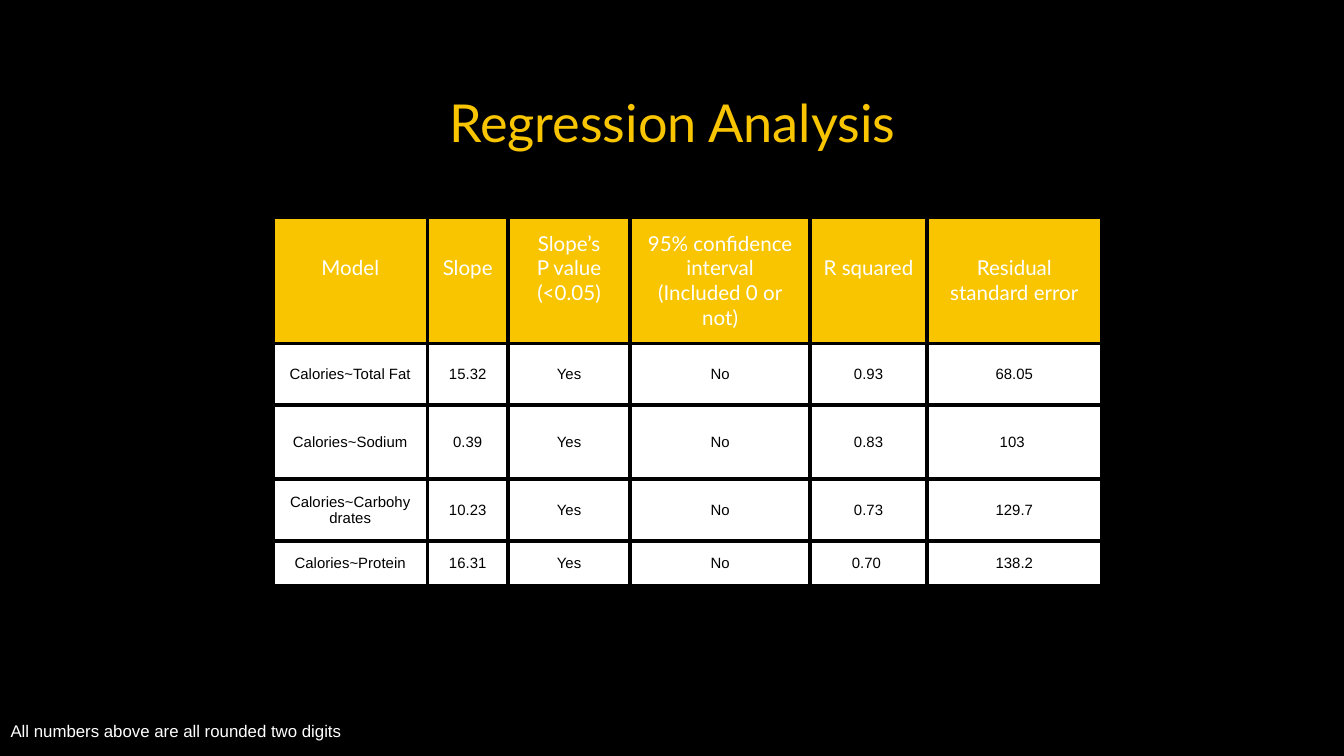
from collections import namedtuple
from dataclasses import dataclass

from lxml import etree
from pptx import Presentation
from pptx import util as u
from pptx.dml.color import RGBColor
from pptx.enum import text
from pptx.oxml import ns

Box = namedtuple("Box", "left top width height")


@dataclass(frozen=True)
class Theme:
    """Colours, fonts and sizes of the slide."""
    black: str = "000000"
    white: str = "FFFFFF"
    gold: str = "F8C500"
    heading_font: str = "Lato"
    body_font: str = "Arial"
    title_size: float = 28
    header_size: float = 11
    body_size: float = 8
    note_size: float = 9
    border_width: float = 2.25


THEME = Theme()
INSET = 0.25
HEADER_LINE = 0.47

COLUMN_WIDTHS = [2.92, 1.52, 2.31, 3.4, 2.21, 3.3]
ROW_HEIGHTS = [2.34, 1.17, 1.4, 1.17, 0.84]
HEADERS = [
    ["Model"],
    ["Slope"],
    ["Slope’s", "P value", "(<0.05)"],
    ["95% confidence interval", "(Included 0 or not)"],
    ["R squared"],
    ["Residual standard error"],
]
MODELS = [
    ["Calories~Total Fat", "15.32", "Yes", "No", "0.93", "68.05"],
    ["Calories~Sodium", "0.39", "Yes", "No", "0.83", "103 "],
    ["Calories~Carbohydrates", "10.23", "Yes", "No", "0.73", "129.7"],
    ["Calories~Protein", "16.31", "Yes", "No", "0.70 ", "138.2"],
]


def lengths(box):
    """Turn a box in centimetres into slide lengths."""
    return [u.Cm(value) for value in box]


def write(frame, lines, *, font, size, color, align=text.PP_ALIGN.CENTER):
    """Fill a text frame with one formatted paragraph per line."""
    for index, line in enumerate(lines):
        paragraph = frame.add_paragraph() if index else frame.paragraphs[0]
        paragraph.alignment = align
        run = paragraph.add_run()
        run.text = line
        run.font.name = font
        run.font.size = u.Pt(size)
        run.font.color.rgb = RGBColor.from_string(color)


def set_insets(holder, top=INSET):
    """Give a cell or text frame equal insets, with an optional deeper top."""
    holder.margin_left = holder.margin_right = holder.margin_bottom = u.Cm(INSET)
    holder.margin_top = u.Cm(top)


def set_borders(cell, color, width):
    """Draw a solid line on the four sides of a cell."""
    properties = cell._tc.get_or_add_tcPr()
    for side in ("a:lnL", "a:lnR", "a:lnT", "a:lnB"):
        line = etree.SubElement(properties, ns.qn(side), w=str(u.Pt(width)))
        fill = etree.SubElement(line, ns.qn("a:solidFill"))
        etree.SubElement(fill, ns.qn("a:srgbClr"), val=color)


def place_title(slide, box):
    """Move and format the title placeholder."""
    title = slide.shapes.title
    title.left, title.top, title.width, title.height = lengths(box)
    frame = title.text_frame
    frame.word_wrap = True
    frame.auto_size = text.MSO_AUTO_SIZE.NONE
    frame.vertical_anchor = text.MSO_ANCHOR.TOP
    set_insets(frame)
    write(frame, ["Regression Analysis"], font=THEME.heading_font,
          size=THEME.title_size, color=THEME.gold)


def fill_cell(cell, lines, background, anchor, top=INSET, **text_format):
    """Format one table cell and write its lines."""
    set_borders(cell, THEME.black, THEME.border_width)
    cell.fill.solid()
    cell.fill.fore_color.rgb = RGBColor.from_string(background)
    cell.vertical_anchor = anchor
    set_insets(cell, top)
    write(cell.text_frame, lines, **text_format)


def place_results(slide, box):
    """Build the table of regression models."""
    results = slide.shapes.add_table(
        len(ROW_HEIGHTS), len(COLUMN_WIDTHS), *lengths(box)).table
    results.first_row = results.horz_banding = False
    for column, width in zip(results.columns, COLUMN_WIDTHS):
        column.width = u.Cm(box.width * width / sum(COLUMN_WIDTHS))
    for row, height in zip(results.rows, ROW_HEIGHTS):
        row.height = u.Cm(box.height * height / sum(ROW_HEIGHTS))

    for column, lines in enumerate(HEADERS):
        top = INSET + HEADER_LINE if len(lines) == 1 else INSET
        fill_cell(results.cell(0, column), lines, THEME.gold,
                  text.MSO_ANCHOR.TOP, top, font=THEME.heading_font,
                  size=THEME.header_size, color=THEME.white)
    for row, model in enumerate(MODELS, start=1):
        for column, value in enumerate(model):
            fill_cell(results.cell(row, column), [value], THEME.white,
                      text.MSO_ANCHOR.MIDDLE, font=THEME.body_font,
                      size=THEME.body_size, color=THEME.black)


def place_note(slide, box):
    """Write the rounding note."""
    frame = slide.shapes.add_textbox(*lengths(box)).text_frame
    frame.word_wrap = True
    frame.auto_size = text.MSO_AUTO_SIZE.SHAPE_TO_FIT_TEXT
    write(frame, ["All numbers above are all rounded two digits"],
          font=THEME.body_font, size=THEME.note_size, color=THEME.white,
          align=text.PP_ALIGN.LEFT)


def main():
    """Build and save the slide."""
    deck = Presentation()
    deck.slide_width, deck.slide_height = u.Cm(25.4), u.Cm(14.29)
    slide = deck.slides.add_slide(deck.slide_layouts.get_by_name("Title Only"))
    slide.background.fill.solid()
    slide.background.fill.fore_color.rgb = RGBColor.from_string(THEME.black)
    place_title(slide, Box(2.67, 1.45, 20.07, 1.6))
    place_results(slide, Box(5.16, 4.11, 15.66, 6.92))
    place_note(slide, Box(-0.05, 13.49, 9.91, 0.64))
    deck.save("out.pptx")


if __name__ == "__main__":
    main()
